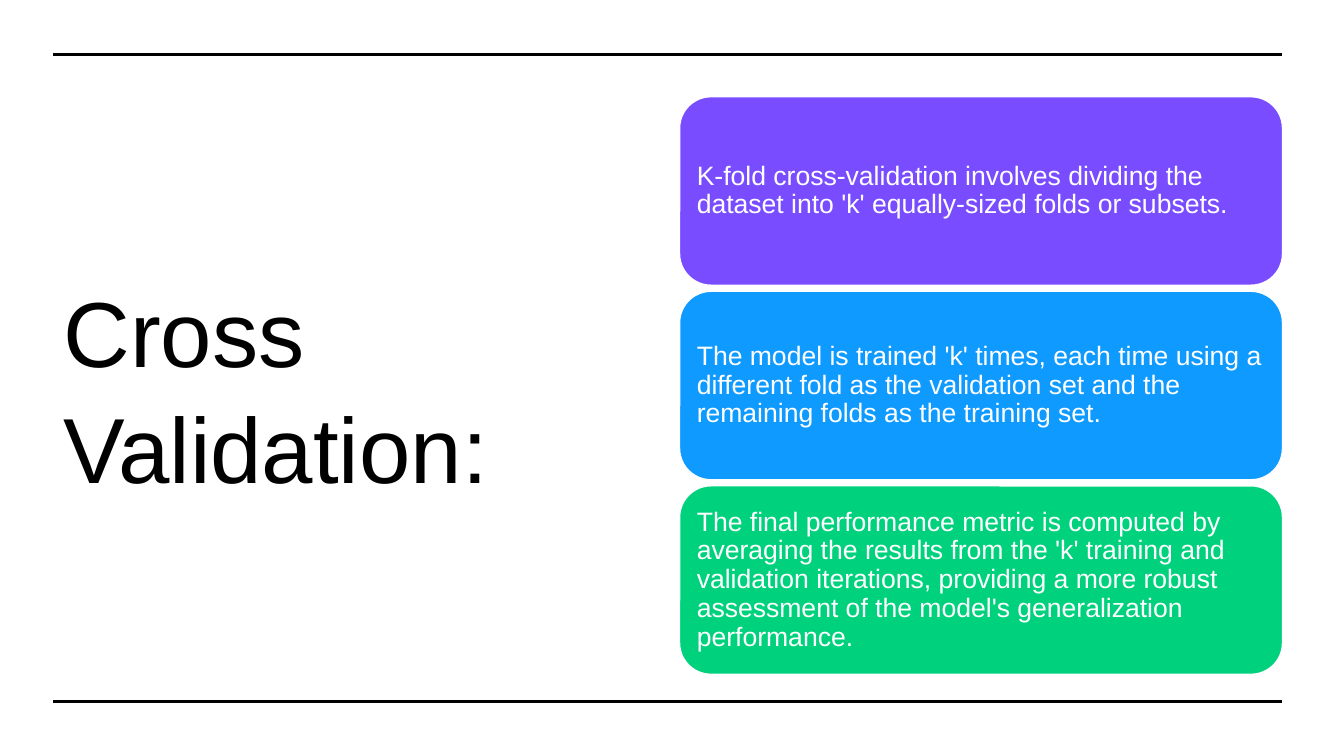
import pptx
import pptx.util
import pptx.dml.color
import pptx.enum.shapes
import pptx.enum.text
import pptx.oxml.ns
import lxml.etree

Inches = pptx.util.Inches
Pt = pptx.util.Pt
RGBColor = pptx.dml.color.RGBColor

BLACK = RGBColor(0x00, 0x00, 0x00)
WHITE = RGBColor(0xFF, 0xFF, 0xFF)
PURPLE = RGBColor(0x79, 0x4D, 0xFF)
BLUE = RGBColor(0x0F, 0x9A, 0xFF)
GREEN = RGBColor(0x00, 0xD1, 0x7D)

FONT = "Arial"
LEFT, RIGHT = 0.53, 12.72
RULE_HEIGHTS = (0.54, 6.96)
TITLE_BOX = (LEFT, 0.95, 6.14, 5.75)
CARDS_BOX = (6.74, 0.96, 5.98, 5.73)
CARD_GAP = 0.06
CARD_INSET = 0.17

CARDS = [
    (PURPLE, "K-fold cross-validation involves dividing the dataset into 'k' "
             "equally-sized folds or subsets."),
    (BLUE, "The model is trained 'k' times, each time using a different fold as "
           "the validation set and the remaining folds as the training set."),
    (GREEN, "The final performance metric is computed by averaging the results "
            "from the 'k' training and validation iterations, providing a more "
            "robust assessment of the model's generalization performance."),
]


def write_text(shape, text, size, color, line_spacing):
    frame = shape.text_frame
    frame.word_wrap = True
    frame.vertical_anchor = pptx.enum.text.MSO_ANCHOR.MIDDLE
    para = frame.paragraphs[0]
    para.text = text
    para.alignment = pptx.enum.text.PP_ALIGN.LEFT
    para.line_spacing = line_spacing
    para.font.name = FONT
    para.font.size = Pt(size)
    para.font.color.rgb = color
    return frame


def add_rules(page):
    for height in RULE_HEIGHTS:
        rule = page.shapes.add_connector(
            pptx.enum.shapes.MSO_CONNECTOR.STRAIGHT,
            Inches(LEFT), Inches(height), Inches(RIGHT), Inches(height))
        rule.line.color.rgb = BLACK
        rule.line.width = Pt(2.25)
        lxml.etree.SubElement(rule._element.spPr, pptx.oxml.ns.qn("a:effectLst"))


def add_title(page, box):
    title = page.shapes.add_textbox(*map(Inches, box))
    write_text(title, "Cross Validation:", 66, BLACK, 1.05)


def add_cards(page, box):
    left, top, width, height = box
    card_height = (height - CARD_GAP * (len(CARDS) - 1)) / len(CARDS)
    for row, (color, text) in enumerate(CARDS):
        card_top = top + row * (card_height + CARD_GAP)
        card = page.shapes.add_shape(
            pptx.enum.shapes.MSO_SHAPE.ROUNDED_RECTANGLE,
            Inches(left), Inches(card_top), Inches(width), Inches(card_height))
        card.shadow.inherit = False
        card.fill.solid()
        card.fill.fore_color.rgb = color
        card.line.color.rgb = WHITE
        card.line.width = Pt(1)
        frame = write_text(card, text, 19, WHITE, 0.9)
        frame.margin_left = frame.margin_right = Inches(CARD_INSET - 0.09)
        frame.margin_top = frame.margin_bottom = Inches(CARD_INSET - 0.09)


def main():
    deck = pptx.Presentation()
    deck.slide_width = Inches(13.33)
    deck.slide_height = Inches(7.5)
    page = deck.slides.add_slide(deck.slide_layouts[6])
    add_title(page, TITLE_BOX)
    add_rules(page)
    add_cards(page, CARDS_BOX)
    deck.save("out.pptx")


if __name__ == "__main__":
    main()
